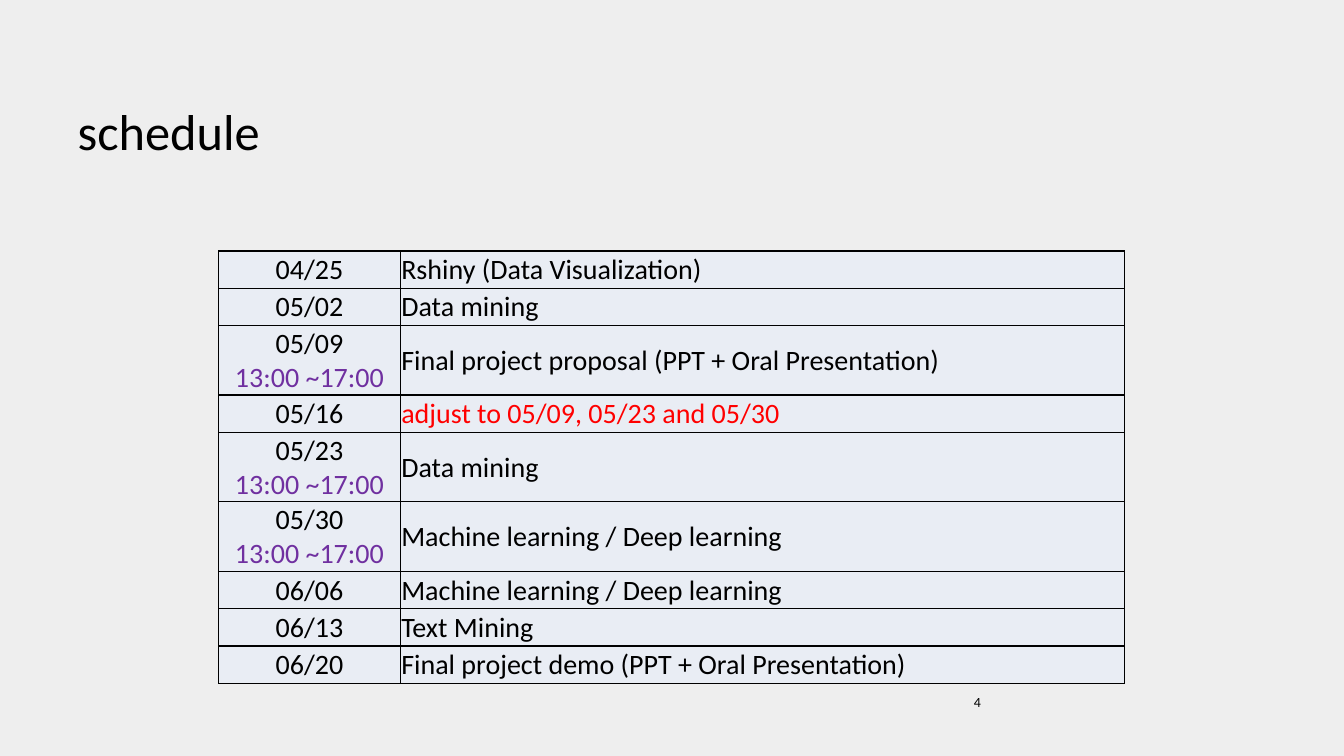
from lxml import etree
from pptx import Presentation
from pptx.dml.color import RGBColor
from pptx.enum import text as t
from pptx.oxml.ns import qn
from pptx.util import Inches, Pt

BLACK = RGBColor(0x00, 0x00, 0x00)
PURPLE = RGBColor(0x70, 0x30, 0xA0)
RED = RGBColor(0xFF, 0x00, 0x00)
PALE = RGBColor(0xE9, 0xED, 0xF4)
GREY = RGBColor(0xEE, 0xEE, 0xEE)
LEFT, CENTER = t.PP_ALIGN.LEFT, t.PP_ALIGN.CENTER
LONG = "13:00 ~17:00"

PLAN = [
    ("04/25", "", "Rshiny (Data Visualization)", BLACK),
    ("05/02", "", "Data mining", BLACK),
    ("05/09", LONG, "Final project proposal (PPT + Oral Presentation)", BLACK),
    ("05/16", "", "adjust to 05/09, 05/23 and 05/30", RED),
    ("05/23", LONG, "Data mining", BLACK),
    ("05/30", LONG, "Machine learning / Deep learning", BLACK),
    ("06/06", "", "Machine learning / Deep learning", BLACK),
    ("06/13", "", "Text Mining", BLACK),
    ("06/20", "", "Final project demo (PPT + Oral Presentation)", BLACK),
]


def write(para, words, size=20, color=BLACK, align=LEFT):
    para.alignment = align
    run = para.add_run()
    run.text = words
    run.font.name = "Calibri"
    run.font.size = Pt(size)
    run.font.color.rgb = color


def style(cell):
    """Set the fill, margins and thin black borders of a cell."""
    cell.margin_left = cell.margin_right = cell.margin_top = Inches(0.01)
    cell.margin_bottom = 0
    cell.vertical_anchor = t.MSO_ANCHOR.MIDDLE
    props = cell._tc.get_or_add_tcPr()
    for side in ("lnL", "lnR", "lnT", "lnB"):
        line = etree.SubElement(props, qn(f"a:{side}"), w=str(Pt(1)))
        fill = etree.SubElement(line, qn("a:solidFill"))
        etree.SubElement(fill, qn("a:srgbClr"), val=str(BLACK))
    cell.fill.solid()
    cell.fill.fore_color.rgb = PALE


deck = Presentation()
deck.slide_width, deck.slide_height = Inches(13.33), Inches(7.5)
slide = deck.slides.add_slide(deck.slide_layouts[5])
slide.background.fill.solid()
slide.background.fill.fore_color.rgb = GREY

title = slide.shapes.title
title.left, title.top = Inches(0.67), Inches(0.39)
title.width, title.height = Inches(12), Inches(1.25)
title.text_frame.auto_size = t.MSO_AUTO_SIZE.NONE
title.text_frame.vertical_anchor = t.MSO_ANCHOR.BOTTOM
write(title.text_frame.paragraphs[0], "schedule", size=36)

number = slide.shapes.add_textbox(Inches(9.56), Inches(6.83), Inches(3.11), Inches(0.52))
number.text_frame.word_wrap = True
write(number.text_frame.paragraphs[0], "4", size=10)

frame = slide.shapes.add_table(
    len(PLAN), 2, Inches(2.17), Inches(2.49), Inches(8.98), Inches(0.37) * len(PLAN))
table = frame.table
table.first_row = table.horz_banding = False
table.columns[0].width = Inches(1.8)
table.columns[1].width = Inches(7.18)

for row, (date, hours, topic, color) in zip(table.rows, PLAN):
    row.height = Inches(0.69 if hours else 0.37)
    day, task = row.cells
    style(day)
    style(task)
    write(day.text_frame.paragraphs[0], date, align=CENTER)
    if hours:
        write(day.text_frame.add_paragraph(), hours, color=PURPLE, align=CENTER)
    write(task.text_frame.paragraphs[0], topic, color=color)

deck.save("out.pptx")
